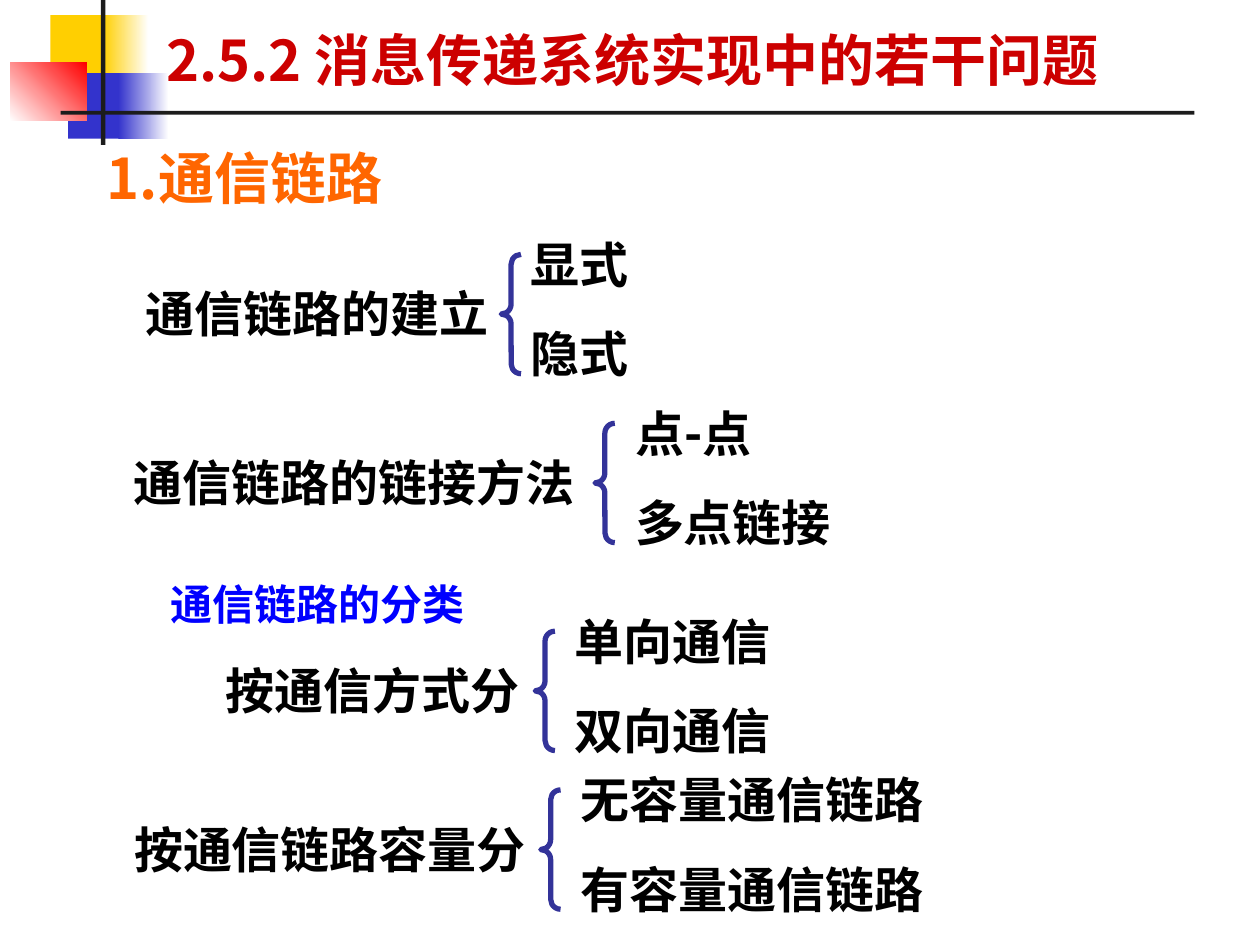
from lxml import etree
from pptx import Presentation
from pptx.dml.color import RGBColor
from pptx.enum.shapes import MSO_SHAPE
from pptx.enum.text import MSO_ANCHOR, MSO_AUTO_SIZE, PP_ALIGN
from pptx.oxml.ns import qn
from pptx.util import Pt

LEFT, CENTER, RIGHT = PP_ALIGN.LEFT, PP_ALIGN.CENTER, PP_ALIGN.RIGHT
TOP, BOTTOM = MSO_ANCHOR.TOP, MSO_ANCHOR.BOTTOM
GROW, FIXED = MSO_AUTO_SIZE.SHAPE_TO_FIT_TEXT, MSO_AUTO_SIZE.NONE
RECTANGLE, BRACE = MSO_SHAPE.RECTANGLE, MSO_SHAPE.LEFT_BRACE

HEADING_FONT = "Noto Sans CJK SC"
BODY_FONT = "Roboto"
YELLOW, BLUE, RED, WHITE, DARK = "FFCF01", "3333CC", "FF0000", "FFFFFF", "1C1C1C"


def rgb(value):
    return RGBColor.from_string(value)


class LinkSlide:
    item_size = 28
    item_gap = 51.1
    line_height = 33.8
    brace_offset, brace_width, brace_height = 11.5, 11.3, 68.2

    def __init__(self, presentation):
        self.slide = presentation.slides.add_slide(presentation.slide_layouts[5])
        self.shapes = self.slide.shapes

    def block(self, left, top, width, height, color, fade_to=None, angle=0):
        block = self.shapes.add_shape(RECTANGLE, Pt(left), Pt(top), Pt(width), Pt(height))
        block.shadow.inherit = False
        block.line.fill.background()
        if fade_to is None:
            block.fill.solid()
            block.fill.fore_color.rgb = rgb(color)
            return
        block.fill.gradient()
        block.fill.gradient_angle = angle
        for stop, shade in zip(block.fill.gradient_stops, (color, fade_to)):
            stop.color.rgb = rgb(shade)

    def style(self, frame, words, size, color, font, align=LEFT):
        frame.word_wrap = True
        frame.text = words
        paragraph = frame.paragraphs[0]
        paragraph.alignment = align
        run = paragraph.runs[0]
        run.font.size = Pt(size)
        run.font.bold = True
        run.font.name = font
        run.font.color.rgb = rgb(color)
        east_asian = etree.SubElement(run.font._element, qn("a:ea"))
        east_asian.set("typeface", HEADING_FONT)
        return paragraph

    def title(self, words, left, top, width, height):
        title = self.shapes.title
        title.left, title.top = Pt(left), Pt(top)
        title.width, title.height = Pt(width), Pt(height)
        title.text_frame.vertical_anchor = BOTTOM
        title.text_frame.auto_size = FIXED
        self.style(title.text_frame, words, 32, "CC0000", HEADING_FONT)
        title._element.getparent().append(title._element)

    def heading(self, words, left, top, width, height):
        frame = self.shapes.add_textbox(Pt(left), Pt(top), Pt(width), Pt(height)).text_frame
        paragraph = self.style(frame, words, 32, "FF6600", HEADING_FONT)
        paragraph.line_spacing = 0.9

    def subheading(self, words, left, top, width, height):
        frame = self.shapes.add_textbox(Pt(left), Pt(top), Pt(width), Pt(height)).text_frame
        frame.auto_size = GROW
        self.style(frame, words, 24, "0000FF", BODY_FONT, CENTER)

    def term(self, group, words, left, top, width, align=LEFT):
        box = group.shapes.add_textbox(Pt(left), Pt(top), Pt(width), Pt(self.line_height))
        frame = box.text_frame
        frame.margin_left = frame.margin_right = frame.margin_top = frame.margin_bottom = 0
        frame.vertical_anchor = TOP
        frame.auto_size = GROW
        self.style(frame, words, self.item_size, "000000", BODY_FONT, align)

    def brace(self, group, left, top):
        brace = group.shapes.add_shape(
            BRACE, Pt(left), Pt(top), Pt(self.brace_width), Pt(self.brace_height))
        brace.adjustments[0] = brace.adjustments[1] = 0.5
        brace.shadow.inherit = False
        brace.fill.background()
        brace.line.color.rgb = rgb("333399")
        brace.line.width = Pt(3)

    def branch(self, top, label, label_left, label_width, align, brace_left, kinds_left, kinds):
        group = self.shapes.add_group_shape()
        self.term(group, label, label_left, top + 28.3, label_width, align)
        for row, (kind, width) in enumerate(zip(kinds, (346, 357))):
            self.term(group, kind, kinds_left, top + row * self.item_gap, width)
        self.brace(group, brace_left, top + self.brace_offset)


def main():
    presentation = Presentation()
    presentation.slide_width, presentation.slide_height = Pt(720), Pt(540)
    page = LinkSlide(presentation)

    page.block(28.8, 8.6, 34.6, 37.4, YELLOW)
    page.block(59, 8.6, 25.9, 37.4, YELLOW, WHITE)
    page.block(38.9, 41.8, 33.1, 37.4, BLUE)
    page.block(67.7, 41.8, 28.8, 37.4, BLUE, WHITE)
    page.block(5.8, 36, 43.9, 33.1, WHITE, RED, 45)
    page.block(57.6, 0, 2.6, 82.8, DARK)
    page.block(34.6, 63.4, 648, 2.2, DARK)

    page.title("2.5.2 消息传递系统实现中的若干问题", 87.8, 0, 617, 56.9)
    page.heading("1.通信链路", 54, 82.8, 501.8, 45.4)

    branches = [
        (133.9, "通信链路的建立", 76.3, 209.5, CENTER, 286.4, 303.1, ("显式", "隐式")),
        (230.4, "通信链路的链接方法", 73.4, 257.8, CENTER, 340, 362.9, ("点-点", "多点链接")),
        (349.2, "按通信方式分", 36.7, 259.9, RIGHT, 305.8, 328.3, ("单向通信", "双向通信")),
        (439.9, "按通信链路容量分", 42.5, 257.8, RIGHT, 309, 331.9,
         ("无容量通信链路", "有容量通信链路")),
    ]
    for branch in branches:
        page.branch(*branch)
    page.subheading("通信链路的分类", 68, 326.9, 226.8, 36)

    presentation.save("out.pptx")


if __name__ == "__main__":
    main()
